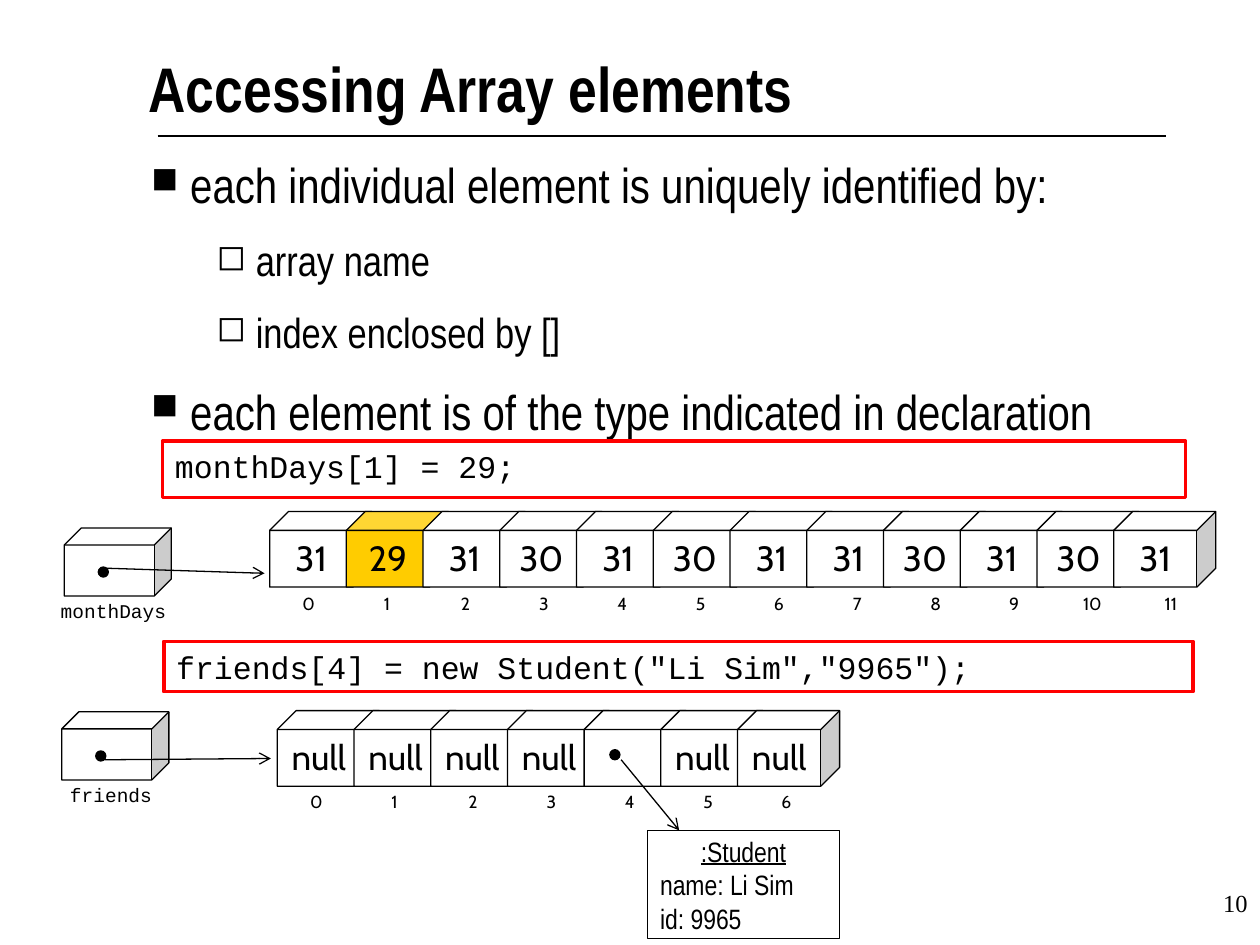
from lxml import etree
from pptx import Presentation
from pptx import util as u
from pptx.dml.color import RGBColor
from pptx.enum import shapes, text
from pptx.oxml.ns import qn

BLACK, WHITE, RED, GOLD = "000000", "FFFFFF", "FF0000", "FFCC00"
NARROW, CODE, CELL = "Arial Narrow", "Courier New", "Cabin"
LEFT, CENTER, RIGHT = text.PP_ALIGN.LEFT, text.PP_ALIGN.CENTER, text.PP_ALIGN.RIGHT
SHAPE = shapes.MSO_SHAPE
INSETS = (0.1, 0.05, 0.1, 0.05)
NO_INSETS = (0, 0, 0, 0)


def color(hex_code):
    """Turn a hex string into a colour."""
    return RGBColor.from_string(hex_code)


def inches(*lengths):
    """Convert lengths in inches for the slide."""
    return [u.Inches(length) for length in lengths]


def set_frame(frame, insets, anchor=text.MSO_ANCHOR.TOP):
    """Set wrapping, insets and vertical anchor of a text frame."""
    frame.word_wrap = True
    frame.vertical_anchor = anchor
    (frame.margin_left, frame.margin_top,
     frame.margin_right, frame.margin_bottom) = inches(*insets)


def write(paragraph, words, font, size, align=LEFT, spacing=None, bold=False, underline=False):
    """Add one formatted run to a paragraph."""
    paragraph.alignment = align
    if spacing:
        paragraph.line_spacing = spacing
    run = paragraph.add_run()
    run.text = words
    run.font.name = font
    run.font.size = u.Pt(size)
    run.font.bold = bold
    run.font.underline = underline
    run.font.color.rgb = color(BLACK)


def add_label(parent, place, words, font, size, insets=NO_INSETS, **style):
    """Add a text box holding one line."""
    frame = parent.add_textbox(*inches(*place)).text_frame
    set_frame(frame, insets)
    write(frame.paragraphs[0], words, font, size, **style)


def add_block(parent, kind, place, fill=WHITE, line=BLACK, width=0.75):
    """Add a filled, outlined preset shape."""
    block = parent.add_shape(kind, *inches(*place))
    block.shadow.inherit = False
    block.fill.solid()
    block.fill.fore_color.rgb = color(fill)
    block.line.color.rgb = color(line)
    block.line.width = u.Pt(width)
    set_frame(block.text_frame, INSETS)
    return block


def add_line(parent, start, end, arrow=False):
    """Add a thin straight line, with an open arrowhead if asked."""
    line = parent.add_connector(shapes.MSO_CONNECTOR.STRAIGHT, *inches(*start, *end))
    line.line.color.rgb = color(BLACK)
    line.line.width = u.Pt(0.75)
    if arrow:
        etree.SubElement(line.line._get_or_add_ln(), qn("a:tailEnd"), type="arrow")
    etree.SubElement(line._element.spPr, qn("a:effectLst"))


def add_dot(parent, left, top):
    """Add the round dot where a reference starts."""
    add_block(parent, SHAPE.OVAL, (left, top, 0.08, 0.08), fill=BLACK)


def set_bullet(paragraph, mark, percent, indent):
    """Give a paragraph a hanging bullet."""
    props = paragraph._p.get_or_add_pPr()
    props.set("marL", str(u.Inches(indent)))
    props.set("indent", str(u.Inches(-0.31)))
    bullet_color = etree.SubElement(props, qn("a:buClr"))
    etree.SubElement(bullet_color, qn("a:srgbClr"), val=BLACK)
    etree.SubElement(props, qn("a:buSzPct"), val=str(percent * 1000))
    etree.SubElement(props, qn("a:buChar"), char=mark)


def add_points(parent, place, points):
    """Add the two-level list of statements."""
    frame = parent.add_textbox(*inches(*place)).text_frame
    set_frame(frame, NO_INSETS)
    levels = [("■", 75, 0.31, 28, 14), ("◻", 85, 0.83, 24, 12)]
    for number, (level, words) in enumerate(points):
        mark, percent, indent, size, gap = levels[level]
        point = frame.add_paragraph() if number else frame.paragraphs[0]
        point.level = level
        set_bullet(point, mark, percent, indent)
        if number:
            point.space_before = u.Pt(gap)
        write(point, words, NARROW, size)


def add_statement(parent, place, code):
    """Add a red-framed line of code."""
    box = add_block(parent, SHAPE.RECTANGLE, place, line=RED, width=2)
    write(box.text_frame.paragraphs[0], code, CODE, 18)


def add_array(parent, left, top, values, index_offset, highlight=None):
    """Add a row of cube cells with an index below each."""
    row = parent.add_group_shape().shapes
    for index, value in enumerate(values):
        fill = GOLD if index == highlight else WHITE
        cell = add_block(row, SHAPE.CUBE, (left + 0.609 * index, top, 0.81, 0.6), fill)
        if value:
            write(cell.text_frame.paragraphs[0], value, CELL, 20, CENTER)
        place = (left - 0.11 + 0.622 * index, top + index_offset, 0.84, 0.28)
        add_label(row, place, str(index), CELL, 10, (0, 0.05, 0, 0.05),
                  align=CENTER, spacing=0.8)


def add_reference(parent, left, top, name, start, end):
    """Add a named variable cube with its arrow to an array."""
    variable = parent.add_group_shape().shapes
    add_block(variable, SHAPE.CUBE, (left, top, 0.85, 0.54))
    add_label(variable, (left - 0.12, top + 0.585, 1.02, 0.19), name, CODE, 11.1,
              align=CENTER, spacing=0.9)
    add_line(variable, start, end, arrow=True)
    add_dot(variable, left + 0.27, top + 0.31)


def add_student(parent, place):
    """Add the box that shows the student object."""
    student = add_block(parent, SHAPE.RECTANGLE, place, width=0.25)
    frame = student.text_frame
    set_frame(frame, INSETS, text.MSO_ANCHOR.MIDDLE)
    write(frame.paragraphs[0], ":Student", NARROW, 16, CENTER, underline=True)
    for field in ("name: Li Sim", "id: 9965"):
        write(frame.add_paragraph(), field, NARROW, 16)


def main():
    """Build the slide and save it."""
    deck = Presentation()
    deck.slide_width, deck.slide_height = inches(10, 7.5)
    canvas = deck.slides.add_slide(deck.slide_layouts[6]).shapes

    add_line(canvas, (1.25, 1.08), (9.25, 1.08))
    add_label(canvas, (1.18, 0.39, 7.65, 0.75), "Accessing Array elements", NARROW, 36, bold=True)
    add_label(canvas, (7.92, 7, 2.08, 0.5), "10", "Times New Roman", 14, INSETS, align=RIGHT)
    add_points(canvas, (1.2, 1.23, 8.25, 5.25), [
        (0, "each individual element is uniquely identified by:"),
        (1, "array name"),
        (1, "index enclosed by []"),
        (0, "each element is of the type indicated in declaration"),
    ])

    add_statement(canvas, (1.29, 3.5, 8.12, 0.45), "monthDays[1] = 29;")
    month_days = "31 29 31 30 31 30 31 31 30 31 30 31".split()
    add_array(canvas, 2.14, 4.06, month_days, 0.63, highlight=1)
    add_reference(canvas, 0.51, 4.19, "monthDays", (0.85, 4.51), (2.1, 4.55))

    add_statement(canvas, (1.3, 5.09, 8.17, 0.4), 'friends[4] = new Student("Li Sim","9965");')
    add_reference(canvas, 0.49, 5.65, "friends", (0.83, 6.03), (2.15, 6.02))
    friends = ["null"] * 4 + [None] + ["null"] * 2
    add_array(canvas, 2.2, 5.64, friends, 0.62)
    add_dot(canvas, 4.84, 5.95)
    add_line(canvas, (4.93, 6.03), (5.39, 6.59), arrow=True)
    add_student(canvas, (5.14, 6.59, 1.52, 0.86))

    deck.save("out.pptx")


if __name__ == "__main__":
    main()
